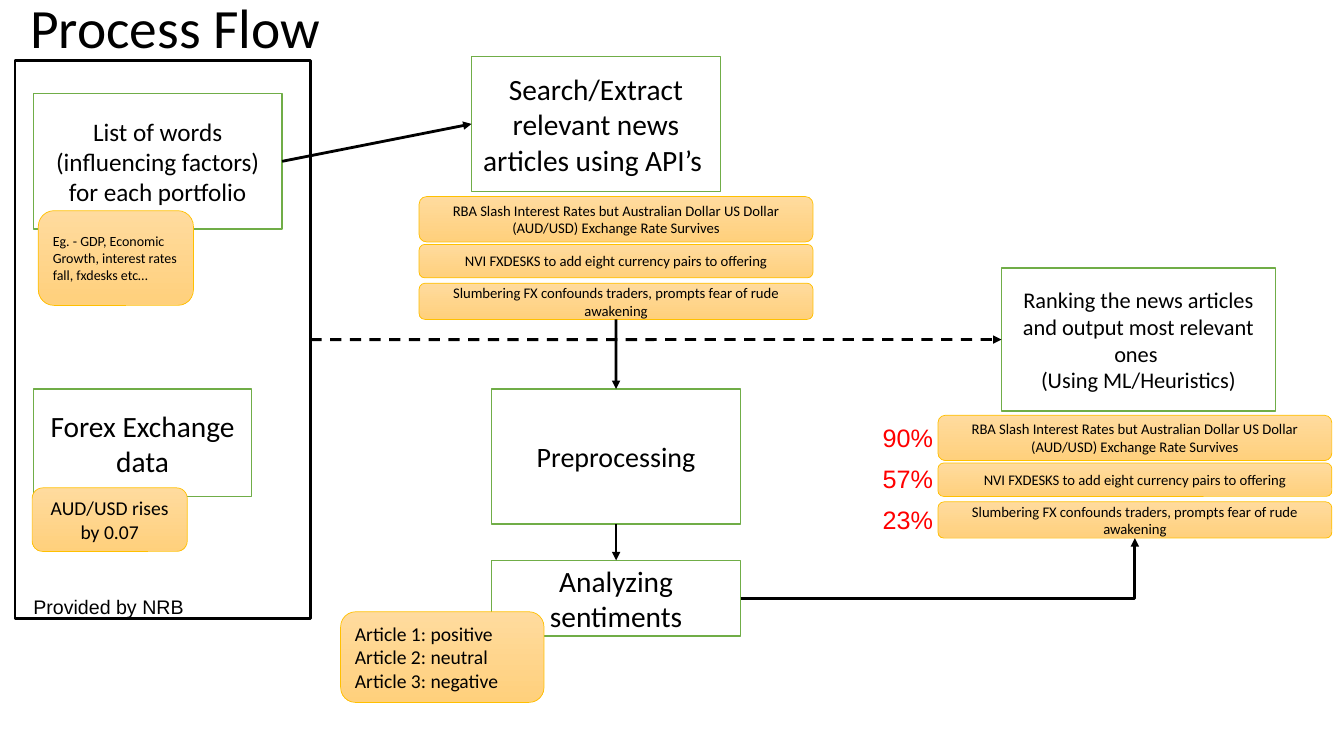
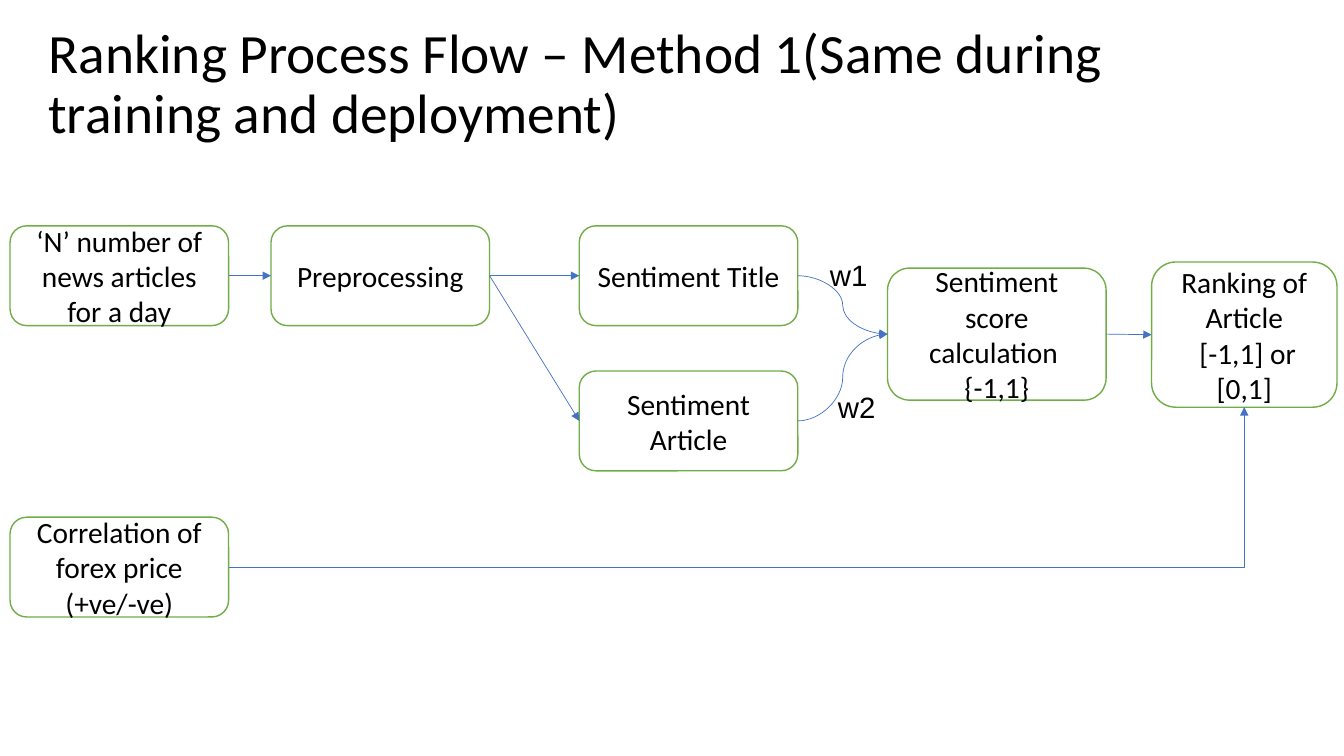
from pptx import Presentation
from pptx.dml.color import RGBColor
from pptx.enum.dml import MSO_LINE
from pptx.enum.shapes import MSO_CONNECTOR, MSO_SHAPE
from pptx.enum.text import MSO_ANCHOR, MSO_AUTO_SIZE, PP_ALIGN
from pptx.oxml.ns import qn
from pptx.util import Pt
from lxml.etree import SubElement

COLORS = {
    "white": "FFFFFF",
    "black": "000000",
    "green": "70AD47",
    "gold": "FFC000",
    "gold_light": "FFDB9E",
    "gold_dark": "FFD07C",
    "blue": "4472C4",
    "red": "FF0000",
}
TOP, LEFT, BOTTOM, RIGHT = range(4)
HEADLINES = [
    ("RBA Slash Interest Rates but Australian Dollar US Dollar (AUD/USD) Exchange Rate Survives", 0, 32.4),
    ("NVI FXDESKS to add eight currency pairs to offering", 34.2, 23.8),
    ("Slumbering FX confounds traders, prompts fear of rude awakening", 61.9, 25.9),
]


def rgb(name):
    return RGBColor.from_string(COLORS[name])


def write(tf, text, size, font="Calibri", color="black", align=PP_ALIGN.LEFT):
    tf.word_wrap = True
    for i, line in enumerate(text.split("\n")):
        p = tf.add_paragraph() if i else tf.paragraphs[0]
        p.alignment = align
        r = p.add_run()
        r.text = line
        r.font.size = Pt(size)
        r.font.name = font
        r.font.color.rgb = rgb(color)


def add_slide(prs, title, box):
    s = prs.slides.add_slide(prs.slide_layouts.get_by_name("Title Only"))
    sp = s.shapes.title
    sp.left, sp.top, sp.width, sp.height = map(Pt, box)
    tf = sp.text_frame
    tf.auto_size = MSO_AUTO_SIZE.NONE
    tf.vertical_anchor = MSO_ANCHOR.MIDDLE
    write(tf, title, 39.6)
    tf.paragraphs[0].line_spacing = 0.9
    return s


def add_outline(s, kind, box, color, width):
    sp = s.shapes.add_shape(kind, *map(Pt, box))
    sp.shadow.inherit = False
    sp.fill.background()
    sp.line.color.rgb = rgb(color)
    sp.line.width = Pt(width)
    sp.text_frame.vertical_anchor = MSO_ANCHOR.MIDDLE
    return sp


def add_step(s, text, box, size=21, kind=MSO_SHAPE.RECTANGLE):
    sp = add_outline(s, kind, box, "green", 1)
    sp.fill.solid()
    sp.fill.fore_color.rgb = rgb("white")
    write(sp.text_frame, text, size, align=PP_ALIGN.CENTER)
    return sp


def add_example(s, text, box, size, align=PP_ALIGN.CENTER):
    sp = add_outline(s, MSO_SHAPE.ROUNDED_RECTANGLE, box, "gold", 0.5)
    sp.fill.gradient()
    sp.fill.gradient_angle = 270
    for stop, color in zip(sp.fill.gradient_stops, ("gold_light", "gold_dark")):
        stop.color.rgb = rgb(color)
    write(sp.text_frame, text, size, align=align)
    return sp


def add_headlines(s, left, top):
    return [add_example(s, text, (left, top + dy, 281.5, height), 10.5)
            for text, dy, height in HEADLINES]


def add_label(s, text, box, size, color="black", inset=None):
    tf = s.shapes.add_textbox(*map(Pt, box)).text_frame
    if inset is not None:
        tf.margin_left = tf.margin_right = tf.margin_top = tf.margin_bottom = Pt(inset)
    write(tf, text, size, "Arial", color)


def add_arrow(s, start, end, color, width, kind=MSO_CONNECTOR.STRAIGHT, dash=None):
    c = s.shapes.add_connector(kind, 0, 0, 0, 0)
    c.begin_connect(*start)
    c.end_connect(*end)
    c.line.color.rgb = rgb(color)
    c.line.width = Pt(width)
    if dash:
        c.line.dash_style = dash
    spPr = c._element.spPr
    if kind == MSO_CONNECTOR.ELBOW:
        spPr.find(qn("a:prstGeom")).set("prst", "bentConnector2")
    SubElement(spPr.find(qn("a:ln")), qn("a:tailEnd"), type="triangle")
    SubElement(spPr, qn("a:effectLst"))


def build_process_flow(prs):
    s = add_slide(prs, "Process Flow", (14.4, 7.2, 880.6, 28.8))
    words = add_step(s, "List of words (influencing factors) for each portfolio",
                     (23.8, 67, 177.8, 96.5), 18)
    prep = add_step(s, "Preprocessing", (351.4, 277.9, 177.8, 96.5), 20)
    analysis = add_step(s, "Analyzing sentiments", (351.4, 400.3, 177.8, 54))
    ranking = add_step(s, "Ranking the news articles and output most relevant ones \n(Using ML/Heuristics)",
                       (715.7, 191.5, 195.8, 102.2), 16)
    add_step(s, "Forex Exchange data", (23.8, 277.9, 156.2, 77))
    search = add_step(s, "Search/Extract relevant news articles using API’s ", (337, 40.3, 177.8, 96.5))

    add_example(s, "Eg. - GDP, Economic Growth, interest rates fall, fxdesks etc…",
                (27.4, 150.5, 110.9, 67.7), 10, PP_ALIGN.LEFT)
    add_example(s, "Article 1: positive\nArticle 2: neutral\nArticle 3: negative",
                (243.4, 437, 145.4, 64.8), 14, PP_ALIGN.LEFT)
    add_example(s, "AUD/USD rises by 0.07", (23, 348.5, 110.9, 45.4), 14)
    found = add_headlines(s, 299.5, 140.4)
    ranked = add_headlines(s, 670.3, 296.6)
    frame = add_outline(s, MSO_SHAPE.RECTANGLE, (10.8, 43.2, 211, 398.9), "black", 2)

    for start, end in [
        ((words, RIGHT), (search, LEFT)),
        ((found[-1], BOTTOM), (prep, TOP)),
        ((prep, BOTTOM), (analysis, TOP)),
    ]:
        add_arrow(s, start, end, "black", 2)
    add_arrow(s, (analysis, RIGHT), (ranked[-1], BOTTOM), "black", 2, MSO_CONNECTOR.ELBOW)
    add_arrow(s, (frame, RIGHT), (ranking, LEFT), "black", 2, MSO_CONNECTOR.CURVE, MSO_LINE.DASH)

    add_label(s, "Provided by NRB", (23.8, 424.8, 162.7, 17.3), 14, inset=0)
    for score, sp in zip(("90%", "57%", "23%"), ranked):
        middle = (sp.top + sp.height / 2) / Pt(1)
        add_label(s, score, (630.7, middle - 11.4, 39.6, 21.6), 18, "red", 0)


def build_ranking_flow(prs):
    s = add_slide(prs, "Ranking Process Flow – Method 1(Same during training and deployment)",
                  (27.4, 20.9, 828, 80.6))

    def step(text, left, top, width=156.2, height=71.3):
        return add_step(s, text, (left, top, width, height), kind=MSO_SHAPE.ROUNDED_RECTANGLE)

    news = step("‘N’ number of news articles for a day", 7.2, 161.3)
    forex = step("Correlation of forex price (+ve/-ve)", 7.2, 369.4)
    prep = step("Preprocessing", 193.7, 161.3)
    title = step("Sentiment Title", 414, 161.3)
    article = step("Sentiment Article", 414, 265)
    score = step("Sentiment score calculation \n{-1,1}", 634.3, 191.5, height=94.3)
    ranking = step("Ranking of Article\n [-1,1] or [0,1]", 823, 187.2, 132.5, 103.7)

    for start, end, kind in [
        (news, prep, MSO_CONNECTOR.STRAIGHT),
        (prep, title, MSO_CONNECTOR.STRAIGHT),
        (prep, article, MSO_CONNECTOR.STRAIGHT),
        (title, score, MSO_CONNECTOR.CURVE),
        (article, score, MSO_CONNECTOR.CURVE),
        (score, ranking, MSO_CONNECTOR.STRAIGHT),
    ]:
        add_arrow(s, (start, RIGHT), (end, LEFT), "blue", 0.5, kind)
    add_arrow(s, (forex, RIGHT), (ranking, BOTTOM), "blue", 0.5, MSO_CONNECTOR.ELBOW)

    add_label(s, "w1", (586.1, 180, 46.1, 32.4), 21)
    add_label(s, "w2", (591.8, 274.3, 46.1, 32.4), 21)


def main():
    prs = Presentation()
    prs.slide_width, prs.slide_height = Pt(960.5), Pt(540)
    build_process_flow(prs)
    build_ranking_flow(prs)
    prs.save("out.pptx")


if __name__ == "__main__":
    main()
